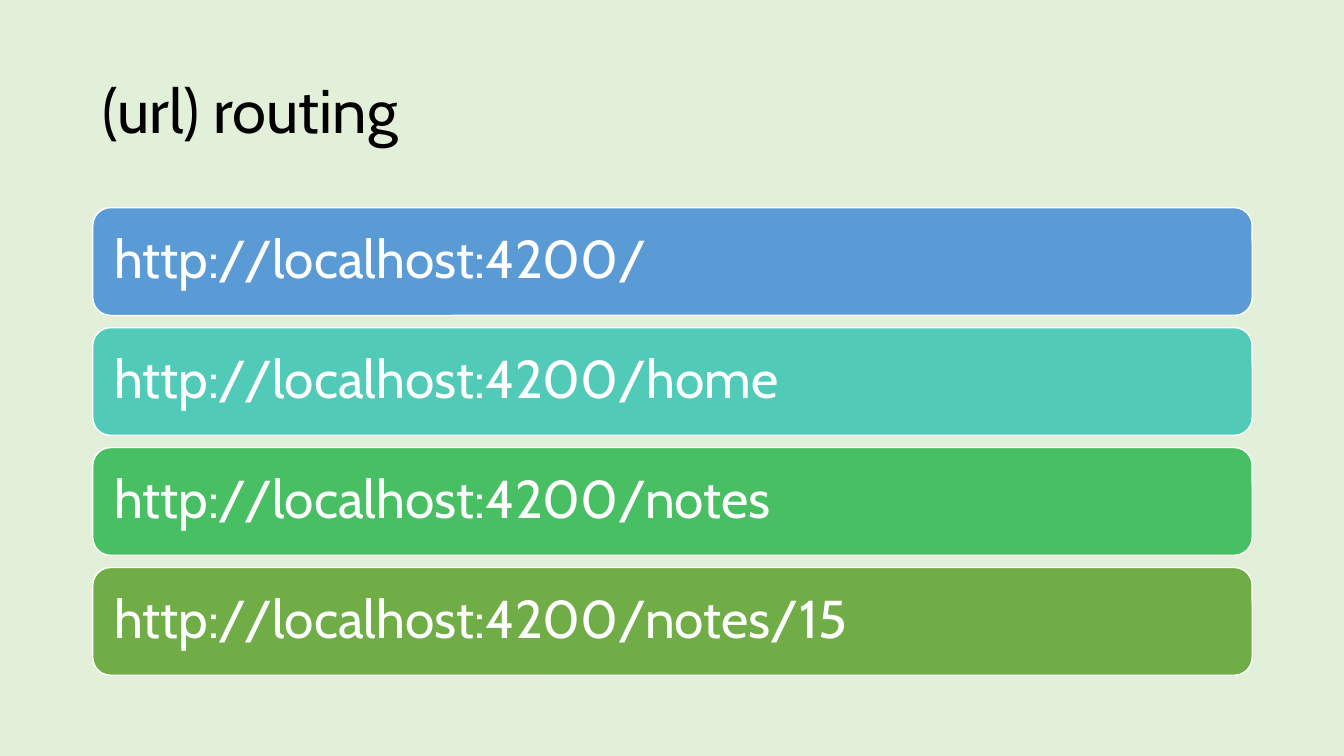
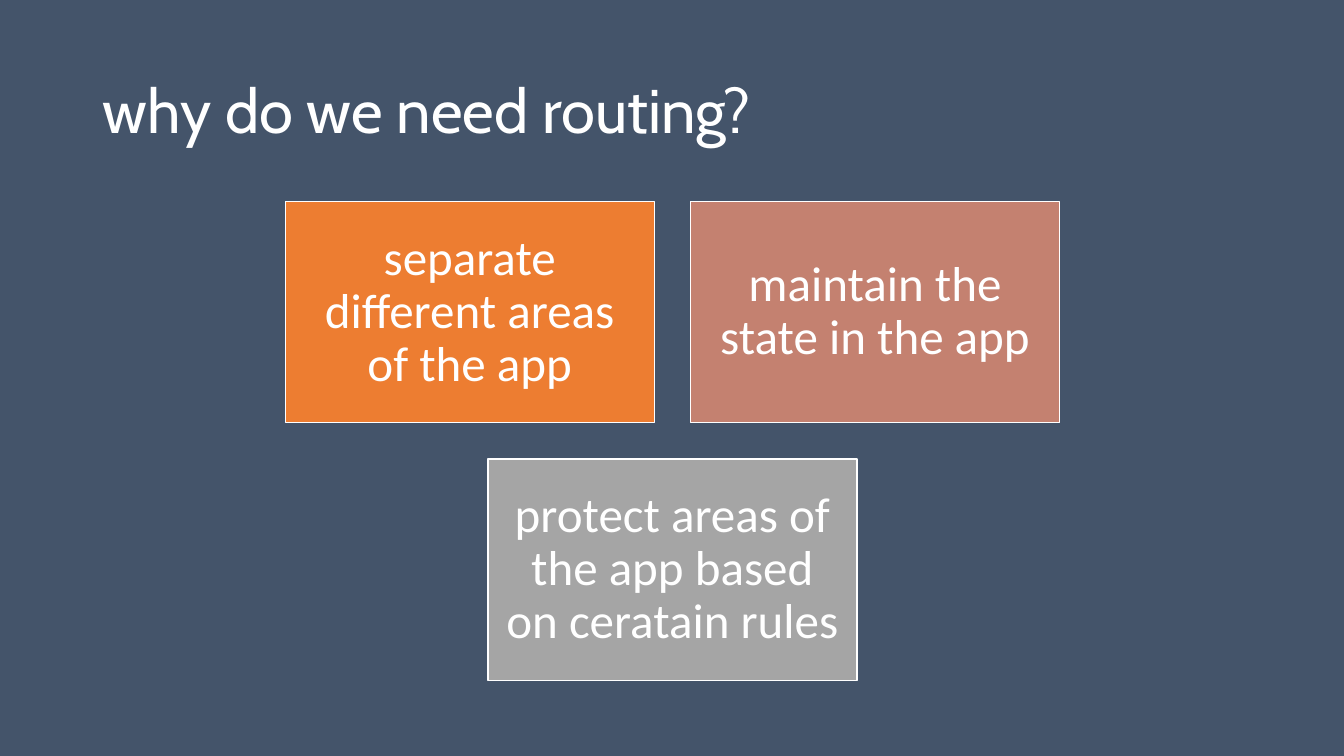
import pptx
import pptx.util
import pptx.dml.color
import pptx.enum.shapes
import pptx.enum.text

Inches, Pt = pptx.util.Inches, pptx.util.Pt
RGBColor = pptx.dml.color.RGBColor
MSO_SHAPE = pptx.enum.shapes.MSO_SHAPE
PP_ALIGN = pptx.enum.text.PP_ALIGN
MSO_ANCHOR = pptx.enum.text.MSO_ANCHOR

SLIDE_W, SLIDE_H = 13.33, 7.5
TITLE_BOX = (0.92, 0.4, 11.5, 1.45)
URL_BOX = (0.92, 2.06, 11.5, 4.64)
REASON_BOX = (2.83, 2, 7.68, 4.75)

HEAD_FONT, BODY_FONT = "Cabin", "Calibri"
BLACK = RGBColor(0x00, 0x00, 0x00)
WHITE = RGBColor(0xFF, 0xFF, 0xFF)
PALE_GREEN = RGBColor(0xE2, 0xF0, 0xD9)
SLATE = RGBColor(0x44, 0x54, 0x6A)
BLUE = RGBColor(0x5B, 0x9B, 0xD5)
TEAL = RGBColor(0x52, 0xCA, 0xB8)
GREEN = RGBColor(0x49, 0xBF, 0x64)
OLIVE = RGBColor(0x70, 0xAD, 0x47)
ORANGE = RGBColor(0xED, 0x7D, 0x31)
ROSE = RGBColor(0xC4, 0x81, 0x70)
GREY = RGBColor(0xA5, 0xA5, 0xA5)

URLS = [
    ("http://localhost:4200/", BLUE),
    ("http://localhost:4200/home", TEAL),
    ("http://localhost:4200/notes", GREEN),
    ("http://localhost:4200/notes/15", OLIVE),
]
REASON_ROWS = [
    [("separate different areas of the app", ORANGE),
     ("maintain the state in the app", ROSE)],
    [("protect areas of the app based on ceratain rules", GREY)],
]


def write(tf, text, font, size, color, align):
    tf.word_wrap = True
    tf.auto_size = pptx.enum.text.MSO_AUTO_SIZE.NONE
    tf.vertical_anchor = MSO_ANCHOR.MIDDLE
    tf.text = text
    p = tf.paragraphs[0]
    p.alignment = align
    p.line_spacing = 0.9
    p.font.name = font
    p.font.size = Pt(size)
    p.font.color.rgb = color


def add_titled_slide(prs, title, background, title_color):
    s = prs.slides.add_slide(prs.slide_layouts.get_by_name("Title Only"))
    s.background.fill.solid()
    s.background.fill.fore_color.rgb = background
    sp = s.shapes.title
    sp.left, sp.top, sp.width, sp.height = map(Inches, TITLE_BOX)
    write(sp.text_frame, title, HEAD_FONT, 44, title_color, PP_ALIGN.LEFT)
    return s


def add_card(s, kind, box, fill, inset):
    """Add a white-edged card and return its text frame."""
    sp = s.shapes.add_shape(kind, *map(Inches, box))
    sp.shadow.inherit = False
    sp.fill.solid()
    sp.fill.fore_color.rgb = fill
    sp.line.color.rgb = WHITE
    sp.line.width = Pt(1)
    tf = sp.text_frame
    tf.margin_left = tf.margin_right = Inches(inset)
    tf.margin_top = tf.margin_bottom = Inches(inset)
    return tf


def add_url_list(s, box, urls, gap=0.12):
    """Stack full-width bars of equal height in the box."""
    left, top, width, height = box
    bar_h = (height - gap * (len(urls) - 1)) / len(urls)
    for i, (url, fill) in enumerate(urls):
        bar = (left, top + i * (bar_h + gap), width, bar_h)
        tf = add_card(s, MSO_SHAPE.ROUNDED_RECTANGLE, bar, fill, 0.16)
        write(tf, url, HEAD_FONT, 38, WHITE, PP_ALIGN.LEFT)


def add_reason_grid(s, box, rows, gap=0.36):
    """Lay out equal cards in the box, centring every row."""
    left, top, width, height = box
    columns = max(map(len, rows))
    card_w = (width - gap * (columns - 1)) / columns
    card_h = (height - gap * (len(rows) - 1)) / len(rows)
    for i, row in enumerate(rows):
        row_w = len(row) * (card_w + gap) - gap
        row_left = left + (width - row_w) / 2
        for j, (reason, fill) in enumerate(row):
            card = (row_left + j * (card_w + gap), top + i * (card_h + gap),
                    card_w, card_h)
            tf = add_card(s, MSO_SHAPE.RECTANGLE, card, fill, 0.15)
            write(tf, reason, BODY_FONT, 35, WHITE, PP_ALIGN.CENTER)


def main():
    prs = pptx.Presentation()
    prs.slide_width, prs.slide_height = Inches(SLIDE_W), Inches(SLIDE_H)

    s = add_titled_slide(prs, "(url) routing", PALE_GREEN, BLACK)
    add_url_list(s, URL_BOX, URLS)

    s = add_titled_slide(prs, "why do we need routing?", SLATE, WHITE)
    add_reason_grid(s, REASON_BOX, REASON_ROWS)

    prs.save("out.pptx")


if __name__ == "__main__":
    main()
